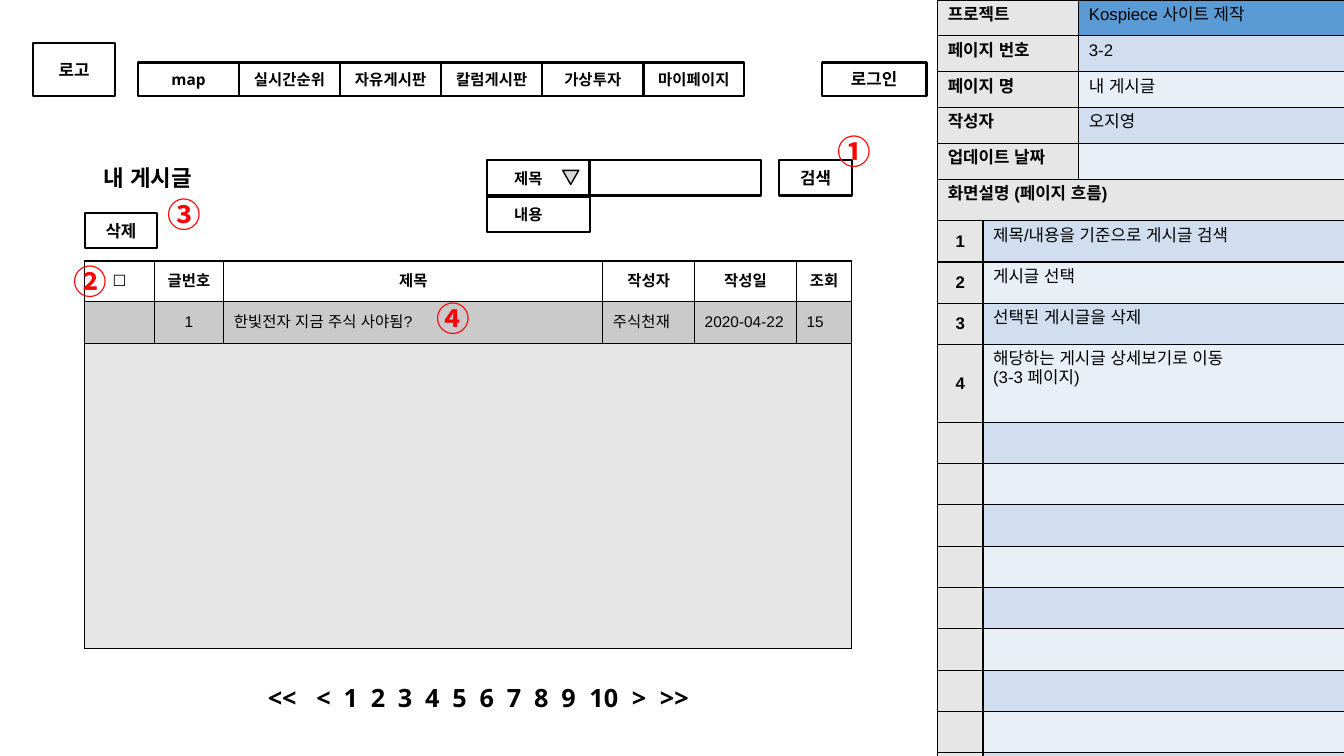
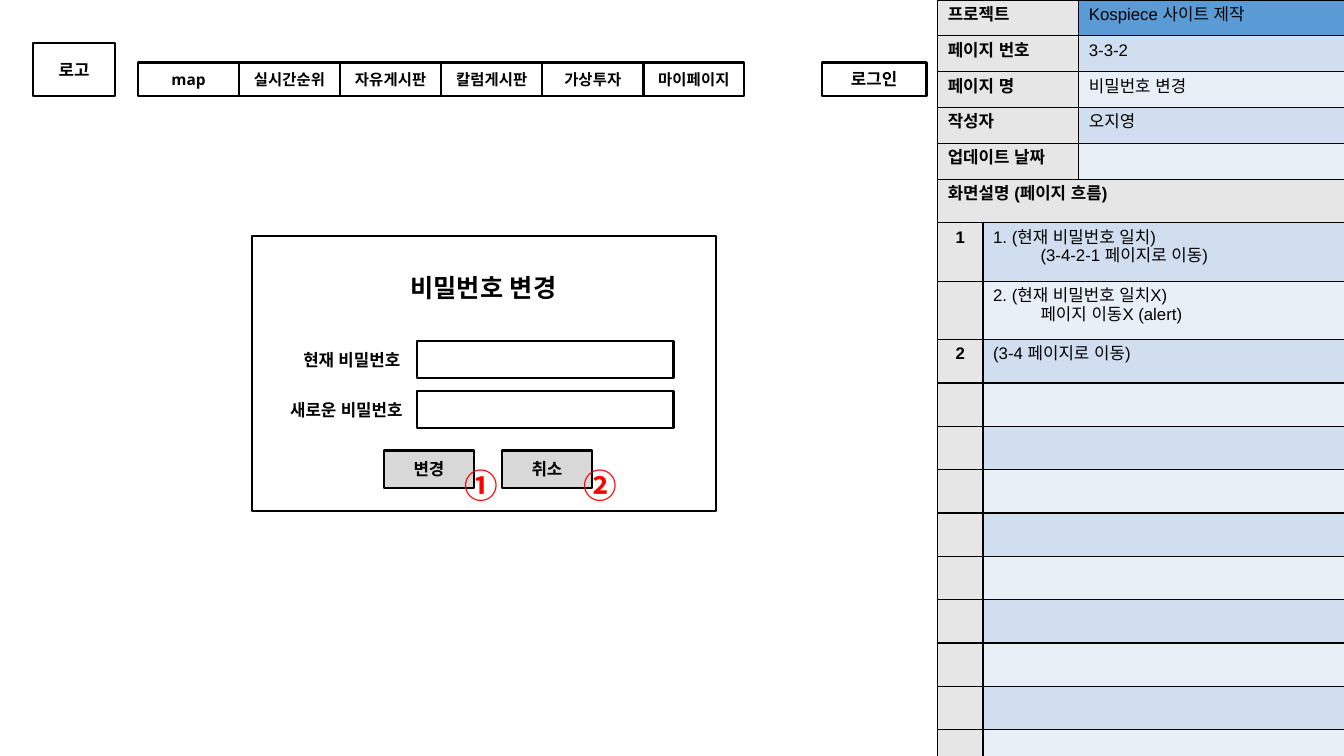
from lxml import etree
from pptx import Presentation, util as u
from pptx.dml.color import RGBColor
from pptx.enum import shapes, text
from pptx.oxml import ns

# Shared look
BLACK, RED, WHITE = "000000", "FF0000", "FFFFFF"
LABEL, ACCENT, BANDS = "E7E6E6", "5B9BD5", ("D0DEEF", "E9EFF7")
BUTTON, LIST_ROW, LIST_BODY = "D8D8D8", "CACACA", "E6E6E6"
SCREEN_FONT, TABLE_FONT, MARK_FONT = "Open Sans", "Arial", "Noto Sans CJK KR"
LEFT, CENTER = text.PP_ALIGN.LEFT, text.PP_ALIGN.CENTER
TOP, MIDDLE = text.MSO_ANCHOR.TOP, text.MSO_ANCHOR.MIDDLE
PANEL_X, FLOW_Y = 9.3, 1.78

# Content
MENU = ["map", "실시간순위", "자유게시판", "칼럼게시판", "가상투자", "마이페이지"]
INFO_LABELS = ["프로젝트", "페이지 번호", "페이지 명", "작성자", "업데이트 날짜"]
PROJECT, AUTHOR = "Kospiece 사이트 제작", "오지영"
FLOW_HEADING = "화면설명 (페이지 흐름)"

POSTS_PAGE = {
    "number": "3-2", "name": "내 게시글", "rows": 14, "row_height": 0.41,
    "tall_rows": {4: 0.77}, "anchor": MIDDLE, "indent": 0,
    "flow": [("1", "제목/내용을 기준으로 게시글 검색"), ("2", "게시글 선택"),
             ("3", "선택된 게시글을 삭제"),
             ("4", "해당하는 게시글 상세보기로 이동\n(3-3 페이지)")],
    "marks": [("①", 8.21, 1.25), ("②", 0.63, 2.54), ("③", 1.56, 1.87), ("④", 4.23, 2.91)],
}
PASSWORD_PAGE = {
    "number": "3-3-2", "name": "비밀번호 변경", "rows": 13, "row_height": 0.43,
    "tall_rows": {1: 0.58, 2: 0.58}, "anchor": TOP, "indent": 0.47,
    "flow": [("1", "1. (현재 비밀번호 일치)\n(3-4-2-1 페이지로 이동)"),
             ("", "2. (현재 비밀번호 일치X)\n페이지 이동X (alert)"),
             ("2", "(3-4 페이지로 이동)")],
    "marks": [("①", 4.51, 4.56), ("②", 5.69, 4.56)],
}
POST_COLUMNS = [("☐", 0.69), ("글번호", 0.69), ("제목", 3.76),
                ("작성자", 0.91), ("작성일", 1.01), ("조회", 0.55)]
POST = ["", "1", "한빛전자 지금 주식 사야됨?", "주식천재", "2020-04-22", "15"]
PAGER = ["<<", "<", *map(str, range(1, 11)), ">", ">>"]
PAGER_STOPS = [0.39, 0.8, *(1.07 + 0.27 * step for step in range(9)), 3.58, 3.93, 4.28]
FIELDS = [("현재 비밀번호", 2.86, 1.26), ("새로운 비밀번호", 2.59, 1.69)]
DIALOG_BUTTONS = ["변경", "취소"]


def rgb(value):
    return RGBColor.from_string(value)


def write(frame, content, size=12, bold=True, color=BLACK, font=SCREEN_FONT,
          align=CENTER, indent=0, stops=()):
    """Write lines of text; lines after the first take the indent."""
    frame.word_wrap = True
    for index, line in enumerate(content.split("\n")):
        paragraph = frame.add_paragraph() if index else frame.paragraphs[0]
        paragraph.alignment = align
        properties = paragraph._p.get_or_add_pPr()
        if index and indent:
            properties.set("marL", str(u.Inches(indent)))
        if stops:
            tabs = etree.SubElement(properties, ns.qn("a:tabLst"))
            for stop in stops:
                etree.SubElement(tabs, ns.qn("a:tab"), pos=str(u.Inches(stop)), algn="ctr")
        run = paragraph.add_run()
        run.text = line
        run.font.size, run.font.bold, run.font.name = u.Pt(size), bold, font
        run.font.color.rgb = rgb(color)
        east_asian = etree.SubElement(run._r.get_or_add_rPr(), ns.qn("a:ea"))
        east_asian.set("typeface", font)


def set_frame(frame, anchor=MIDDLE, side=0.1, edge=0.1):
    frame.auto_size = text.MSO_AUTO_SIZE.NONE
    frame.vertical_anchor = anchor
    frame.margin_left, frame.margin_right = u.Inches(side), u.Inches(0.1)
    frame.margin_top = frame.margin_bottom = u.Inches(edge)


def add_box(slide, x, y, width, height, content="", fill=None, side=0.1, line=1.5,
            kind=shapes.MSO_SHAPE.RECTANGLE, **form):
    shape = slide.shapes.add_shape(kind, *map(u.Inches, (x, y, width, height)))
    shape.shadow.inherit = False
    if fill:
        shape.fill.solid()
        shape.fill.fore_color.rgb = rgb(fill)
    else:
        shape.fill.background()
    shape.line.color.rgb = rgb(BLACK)
    shape.line.width = u.Pt(line)
    if content:
        set_frame(shape.text_frame, side=side)
        write(shape.text_frame, content, **form)
    return shape


def add_label(slide, x, y, width, height, content, anchor=MIDDLE, edge=0.1, **form):
    label = slide.shapes.add_textbox(*map(u.Inches, (x, y, width, height)))
    set_frame(label.text_frame, anchor, edge=edge)
    write(label.text_frame, content, **form)


def set_title(slide, x, y, width, height, content, **form):
    title = slide.shapes.title
    title.left, title.top, title.width, title.height = map(u.Inches, (x, y, width, height))
    set_frame(title.text_frame)
    write(title.text_frame, content, **form)


def add_table(slide, x, y, columns, rows):
    table = slide.shapes.add_table(
        len(rows), len(columns), *map(u.Inches, (x, y, sum(columns), sum(rows)))).table
    table.first_row = table.horz_banding = False
    for column, width in zip(table.columns, columns):
        column.width = u.Inches(width)
    for row, height in zip(table.rows, rows):
        row.height = u.Inches(height)
    for cell in table.iter_cells():
        properties = cell._tc.get_or_add_tcPr()
        for side in ("a:lnL", "a:lnR", "a:lnT", "a:lnB"):
            border = etree.SubElement(properties, ns.qn(side), w=str(u.Pt(1)))
            solid = etree.SubElement(border, ns.qn("a:solidFill"))
            etree.SubElement(solid, ns.qn("a:srgbClr"), val=BLACK)
    return table


def set_cell(cell, content, fill, anchor=TOP, **form):
    cell.fill.solid()
    cell.fill.fore_color.rgb = rgb(fill)
    cell.vertical_anchor = anchor
    if content:
        write(cell.text_frame, content, **{"font": TABLE_FONT, "align": LEFT, **form})


def add_header(slide):
    add_box(slide, 0.33, 0.43, 0.81, 0.52, "로고")
    for index, item in enumerate(MENU):
        add_box(slide, 1.37 + index * 1.0025, 0.62, 1, 0.33, item, size=11)
    add_box(slide, 8.15, 0.62, 1.04, 0.33, "로그인")


def add_panel(slide, page):
    # Page facts
    values = [PROJECT, page["number"], page["name"], AUTHOR, ""]
    info = add_table(slide, PANEL_X, 0, [1.4, 2.64], [FLOW_Y / len(values)] * len(values))
    for row, (label, value) in enumerate(zip(INFO_LABELS, values)):
        set_cell(info.cell(row, 0), label, LABEL)
        set_cell(info.cell(row, 1), value, BANDS[(row - 1) % 2] if row else ACCENT, bold=False)
    # Page flow
    heights = [page["tall_rows"].get(row, page["row_height"]) for row in range(page["rows"])]
    flow = add_table(slide, PANEL_X, FLOW_Y, [0.45, 3.59], heights)
    flow.cell(0, 0).merge(flow.cell(0, 1))
    set_cell(flow.cell(0, 0), FLOW_HEADING, LABEL)
    steps = page["flow"] + [("", "")] * (page["rows"] - 1 - len(page["flow"]))
    for row, (number, step) in enumerate(steps, 1):
        set_cell(flow.cell(row, 0), number, LABEL, page["anchor"], align=CENTER)
        set_cell(flow.cell(row, 1), step, BANDS[(row - 1) % 2], bold=False,
                 indent=page["indent"])


def add_marks(slide, page):
    for mark, x, y in page["marks"]:
        add_label(slide, x, y, 0.6, 0.5, mark, anchor=TOP, edge=0.05, size=24,
                  color=RED, font=MARK_FONT, align=LEFT)


def draw_posts(slide):
    set_title(slide, 0.93, 1.58, 1.87, 0.37, POSTS_PAGE["name"], size=16, align=LEFT)
    # Search bar
    for index, option in enumerate(["제목", "내용"]):
        add_box(slide, 4.83, 1.59 + index * 0.36, 1.02, 0.35, option, size=11,
                align=LEFT, side=0.27)
    arrow = add_box(slide, 5.58, 1.69, 0.16, 0.14, fill=BUTTON, line=1,
                    kind=shapes.MSO_SHAPE.ISOSCELES_TRIANGLE)
    arrow.rotation = 180
    add_box(slide, 5.84, 1.59, 1.71, 0.35)
    add_box(slide, 7.73, 1.59, 0.72, 0.35, "검색")
    add_box(slide, 0.84, 2.11, 0.72, 0.35, "삭제")
    # Post list
    posts = add_table(slide, 0.84, 2.59, [width for _, width in POST_COLUMNS],
                      [0.4, 0.42, 3.02])
    for column, ((heading, _), value) in enumerate(zip(POST_COLUMNS, POST)):
        set_cell(posts.cell(0, column), heading, WHITE, MIDDLE, size=11, align=CENTER)
        set_cell(posts.cell(1, column), value, LIST_ROW, MIDDLE, size=11, bold=False,
                 align=CENTER if column == 1 else LEFT)
    posts.cell(2, 0).merge(posts.cell(2, len(POST) - 1))
    set_cell(posts.cell(2, 0), "", LIST_BODY)
    # Pager
    add_label(slide, 2.31, 6.73, 4.88, 0.37, "\t" + "\t".join(PAGER), size=18,
              align=LEFT, stops=PAGER_STOPS)


def draw_password(slide):
    add_box(slide, 2.5, 2.34, 4.6, 2.73)
    set_title(slide, 3.89, 2.67, 1.81, 0.37, PASSWORD_PAGE["name"], size=18)
    for index, (label, x, width) in enumerate(FIELDS):
        y = 3.38 + index * 0.5
        add_label(slide, x, y, width, 0.37, label)
        add_box(slide, 4.14, y, 2.54, 0.37)
    for index, label in enumerate(DIALOG_BUTTONS):
        add_box(slide, 3.81 + index * 1.17, 4.47, 0.89, 0.37, label, fill=BUTTON)


def main():
    presentation = Presentation()
    presentation.slide_width, presentation.slide_height = u.Inches(13.33), u.Inches(7.5)
    title_only = presentation.slide_layouts[5]
    for page, draw in ((POSTS_PAGE, draw_posts), (PASSWORD_PAGE, draw_password)):
        slide = presentation.slides.add_slide(title_only)
        add_panel(slide, page)
        add_header(slide)
        draw(slide)
        add_marks(slide, page)
    presentation.save("out.pptx")


if __name__ == "__main__":
    main()
